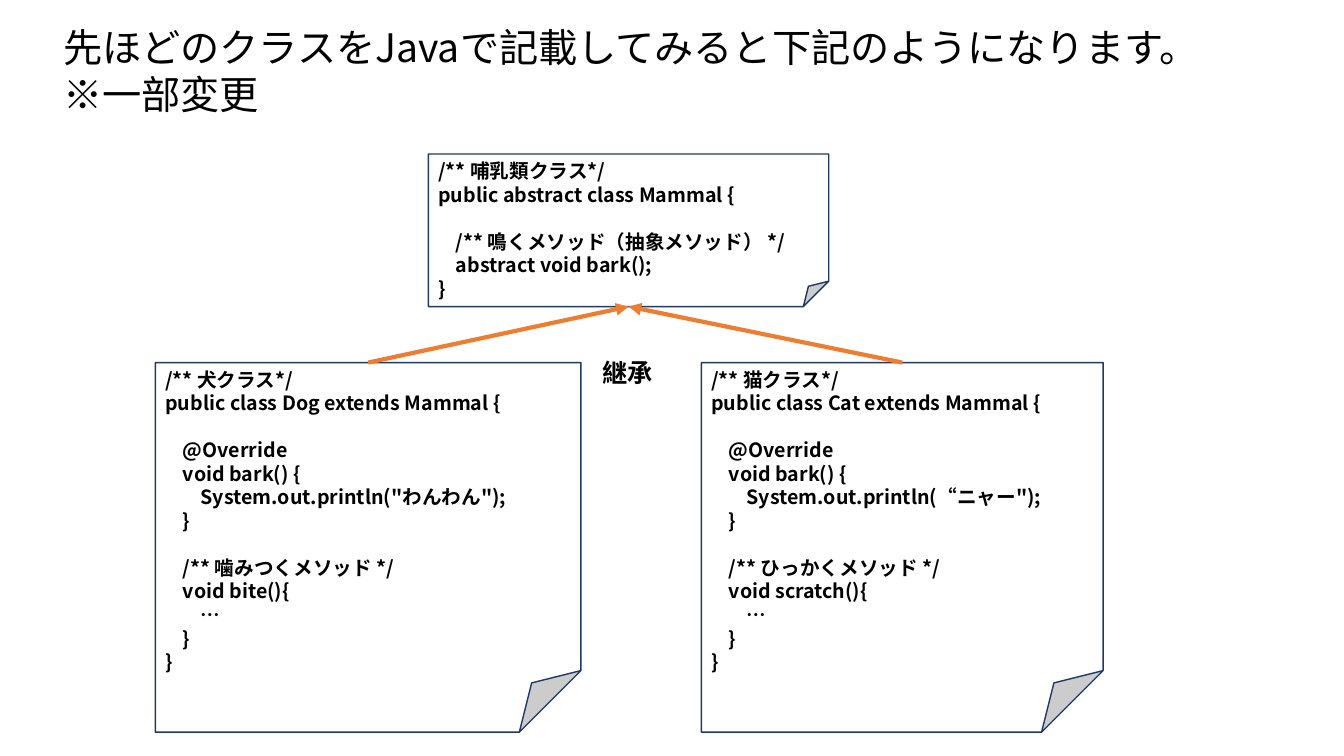
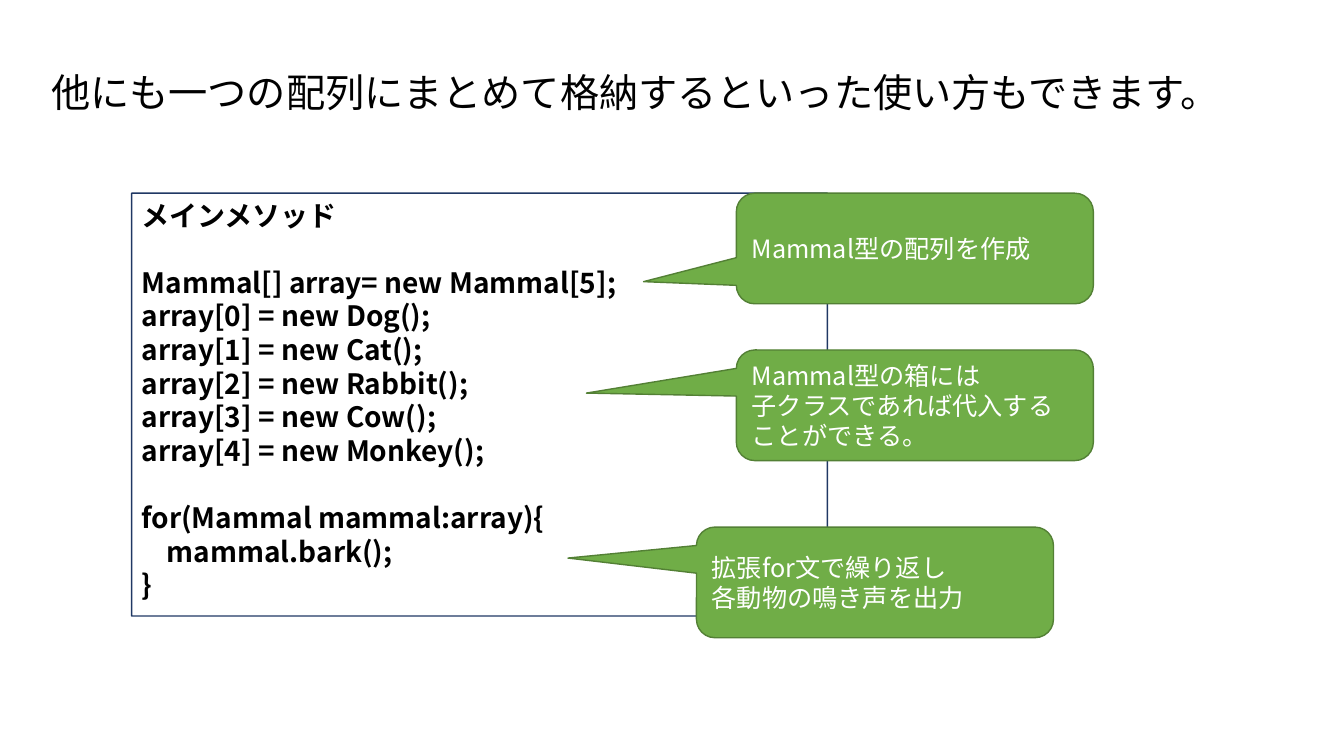
from lxml import etree
from pptx import Presentation
from pptx.dml.color import RGBColor
from pptx.enum.shapes import MSO_CONNECTOR, MSO_SHAPE
from pptx.enum.text import MSO_ANCHOR, PP_ALIGN
from pptx.oxml.ns import qn
from pptx.util import Pt

NOTE, CALLOUT = MSO_SHAPE.FOLDED_CORNER, MSO_SHAPE.ROUNDED_RECTANGULAR_CALLOUT
STRAIGHT = MSO_CONNECTOR.STRAIGHT
TOP, MIDDLE, LEFT = MSO_ANCHOR.TOP, MSO_ANCHOR.MIDDLE, PP_ALIGN.LEFT
TOP_SITE, BOTTOM_SITE = 0, 2

FONT = "Noto Sans CJK JP"
BLACK, WHITE = "000000", "FFFFFF"
NAVY, ORANGE, GREEN, DARK_GREEN = "203864", "ED7D31", "70AD47", "538035"
LINE_HEIGHT = 1.2   # line pitch per point of text size
INDENT = 0.9        # one code level per point of text size


def rgb(color):
    return RGBColor.from_string(color)


def write(sp, lines, size, color=BLACK, bold=False, anchor=TOP, wrap=True):
    """Leading tabs set the code level; an empty line opens a gap."""
    tf = sp.text_frame
    tf.word_wrap, tf.vertical_anchor = wrap, anchor
    pitch = Pt(size * LINE_HEIGHT)
    p, gap = tf.paragraphs[0], 0
    for i, line in enumerate(lines):
        if not line:
            gap = pitch
            continue
        if i:
            p = tf.add_paragraph()
        formats = {"alignment": LEFT, "line_spacing": pitch, "space_before": gap}
        for name, value in formats.items():
            setattr(p, name, value)
        text = line.lstrip("\t")
        level = len(line) - len(text)
        if level:
            p._p.get_or_add_pPr().set("marL", str(Pt(level * size * INDENT)))
        r = p.add_run()
        r.text = text
        for name, value in {"name": FONT, "size": Pt(size), "bold": bold}.items():
            setattr(r.font, name, value)
        r.font.color.rgb = rgb(color)
        etree.SubElement(r._r.get_or_add_rPr(), qn("a:ea")).set("typeface", FONT)
        gap = 0


def text_box(s, box, lines, size, **style):
    write(s.shapes.add_textbox(*map(Pt, box)), lines, size, **style)


def panel(s, kind, box, fill, line):
    sp = s.shapes.add_shape(kind, *map(Pt, box))
    sp.shadow.inherit = False
    sp.fill.solid()
    sp.fill.fore_color.rgb = rgb(fill)
    sp.line.color.rgb = rgb(line)
    sp.line.width = Pt(1)
    return sp


def title(s, left, top, lines):
    text_box(s, (left, top, 900, 7 + 34 * len(lines)), lines, 28)


def code_note(s, box, lines, size=14):
    sp = panel(s, NOTE, box, WHITE, NAVY)
    write(sp, lines, size, bold=True)
    return sp


def callout(s, left, top, tip, lines):
    sp = panel(s, CALLOUT, (left, top, 255, 79), GREEN, DARK_GREEN)
    for i, value in enumerate(tip):
        sp.adjustments[i] = value
    write(sp, lines, 18, WHITE, anchor=MIDDLE)


def inherit_arrow(s, child, parent):
    c = s.shapes.add_connector(STRAIGHT, 0, 0, 0, 0)
    c.begin_connect(child, TOP_SITE)
    c.end_connect(parent, BOTTOM_SITE)
    c.line.color.rgb = rgb(ORANGE)
    c.line.width = Pt(3)
    etree.SubElement(c.line._get_or_add_ln(), qn("a:tailEnd")).set("type", "triangle")
    etree.SubElement(c._element.spPr, qn("a:effectLst"))


def animal_code(label, name, cry, action, method):
    return [f"/** {label}クラス*/", f"public class {name} extends Mammal {{", "",
            "\t@Override", "\tvoid bark() {", f"\t\tSystem.out.println({cry});", "\t}", "",
            f"\t/** {action}メソッド */", f"\tvoid {method}(){{", "\t\t…", "\t}", "}"]


def class_slide(s):
    title(s, 38, 13, ["先ほどのクラスをJavaで記載してみると下記のようになります。", "※一部変更"])
    # Child classes
    dog = code_note(s, (111, 259, 304, 264),
                    animal_code("犬", "Dog", '"わんわん"', "噛みつく", "bite"))
    cat = code_note(s, (501, 259, 287, 264),
                    animal_code("猫", "Cat", '“ニャー"', "ひっかく", "scratch"))
    # Parent class
    mammal = code_note(s, (306, 110, 286, 109), [
        "/** 哺乳類クラス*/", "public abstract class Mammal {", "",
        "\t/** 鳴くメソッド(抽象メソッド) */".replace("(", "（").replace(")", "）"),
        "\tabstract void bark();", "}"])
    # Inheritance
    for child in (dog, cat):
        inherit_arrow(s, child, mammal)
    text_box(s, (423, 252, 51, 29), ["継承"], 18, bold=True, wrap=False)


def array_slide(s):
    title(s, 29.5, 45, ["他にも一つの配列にまとめて格納するといった使い方もできます。"])
    # Main method
    animals = ["Dog", "Cat", "Rabbit", "Cow", "Monkey"]
    code_note(s, (94, 138, 497, 302), [
        "メインメソッド", "", "Mammal[] array= new Mammal[5];",
        *(f"array[{i}] = new {name}();" for i, name in enumerate(animals)), "",
        "for(Mammal mammal:array){", "\tmammal.bark();", "}"], 20)
    # Explanations
    callout(s, 526, 138, (-0.76, 0.3), ["Mammal型の配列を作成"])
    callout(s, 526, 250, (-0.92, -0.11),
            ["Mammal型の箱には", "子クラスであれば代入することができる。"])
    callout(s, 497.5, 376.5, (-0.86, -0.22),
            ["拡張for文で繰り返し", "各動物の鳴き声を出力"])


prs = Presentation()
prs.slide_width, prs.slide_height = Pt(960), Pt(540)
for build in (class_slide, array_slide):
    build(prs.slides.add_slide(prs.slide_layouts[6]))
prs.save("out.pptx")
